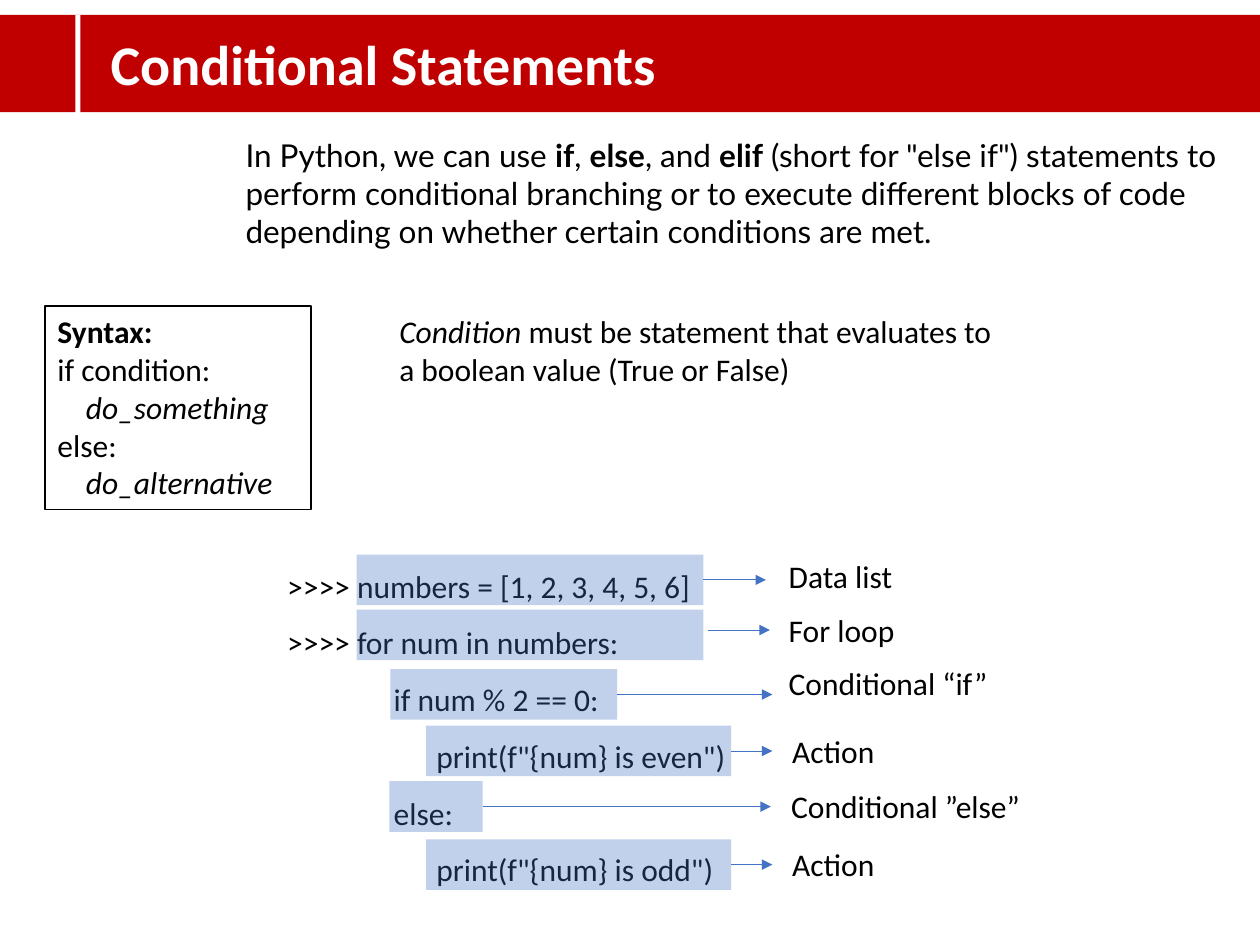
from collections import namedtuple

from lxml.etree import SubElement
from pptx import Presentation
from pptx.dml.color import RGBColor
from pptx.enum.shapes import MSO_CONNECTOR as Connector, MSO_SHAPE as Shape
from pptx.enum.text import MSO_AUTO_SIZE as AutoSize
from pptx.oxml.ns import qn
from pptx.util import Cm, Pt

Theme = namedtuple("Theme", "red blue black white heading_font intro_font title_size text_size")
THEME = Theme("C00000", "4472C4", "000000", "FFFFFF", "Calibri", "Lato", 32, 18)

TITLE = "Conditional Statements"
INTRO = [
    ("In Python, we can use ", ""), ("if", "b"), (", ", ""), ("else", "b"),
    (", and ", ""), ("elif", "b"),
    (' (short for "else if") statements to perform conditional branching or to execute '
     "different blocks of code depending on whether certain conditions are met.", ""),
]
SYNTAX = [
    [("Syntax:", "b")],
    [("if condition:", "")],
    [("    ", ""), ("do_something", "i")],
    [("else:", "")],
    [("    ", ""), ("do_alternative", "i")],
]
CONDITION = [
    ("Condition", "i"),
    (" must be statement that evaluates to a boolean value (True or False)", ""),
]

Step = namedtuple(
    "Step", "code left top width arrow_end label label_left label_top label_width gap rise",
    defaults=(0, 0))
STEPS = [
    Step(">>>> numbers = [1, 2, 3, 4, 5, 6]", 7.19, 11.18, 6.99, 15.44,
         "Data list", 15.65, 11.1, 2.62),
    Step(">>>> for num in numbers:", 7.19, 12.29, 6.99, 15.52,
         "For loop", 15.65, 12.19, 2.67, gap=0.1, rise=0.1),
    Step("               if num % 2 == 0:", 7.87, 13.49, 4.57, 15.57,
         "Conditional “if”", 15.65, 13.26, 4.57),
    Step('                     print(f"{num} is even")', 8.59, 14.63, 6.15, 15.57,
         "Action", 15.72, 14.63, 2.34),
    Step("               else:", 7.85, 15.75, 1.88, 15.54,
         "Conditional ”else”", 15.7, 15.75, 5.18),
    Step('                     print(f"{num} is odd")', 8.59, 16.92, 6.15, 15.57,
         "Action", 15.72, 16.92, 2.34),
]
STEP_HEIGHT = 1.02

deck = Presentation()
deck.slide_width, deck.slide_height = Cm(25.4), Cm(19.05)
slide = deck.slides.add_slide(deck.slide_layouts[6])


def add_text(paragraphs, left, top, width, height, *, font=THEME.heading_font,
             size=THEME.text_size, color=THEME.black, wrap=True, spacing=None, border=None):
    box = slide.shapes.add_textbox(Cm(left), Cm(top), Cm(width), Cm(height))
    if border:
        box.line.color.rgb = RGBColor.from_string(border)
        box.line.width = Pt(0.75)
    frame = box.text_frame
    frame.word_wrap = wrap
    frame.auto_size = AutoSize.SHAPE_TO_FIT_TEXT
    for index, pieces in enumerate(paragraphs):
        paragraph = frame.add_paragraph() if index else frame.paragraphs[0]
        if spacing:
            paragraph.line_spacing = spacing
        for words, style in pieces:
            run = paragraph.add_run()
            run.text = words
            run.font.name = font
            run.font.size = Pt(size)
            run.font.color.rgb = RGBColor.from_string(color)
            run.font.bold = "b" in style
            run.font.italic = "i" in style


def add_block(left, top, width, height, color, opacity=None):
    block = slide.shapes.add_shape(Shape.RECTANGLE, Cm(left), Cm(top), Cm(width), Cm(height))
    block.shadow.inherit = False
    block.fill.solid()
    block.fill.fore_color.rgb = RGBColor.from_string(color)
    block.line.fill.background()
    if opacity:
        tint = next(block.fill._xPr.iter(qn("a:srgbClr")))
        SubElement(tint, qn("a:alpha")).set("val", str(opacity * 1000))


def add_arrow(start, end, level):
    arrow = slide.shapes.add_connector(
        Connector.STRAIGHT, Cm(start), Cm(level), Cm(end), Cm(level))
    arrow.line.color.rgb = RGBColor.from_string(THEME.blue)
    arrow.line.width = Pt(0.5)
    SubElement(arrow.line._get_or_add_ln(), qn("a:tailEnd")).set("type", "triangle")
    SubElement(arrow._element.spPr, qn("a:effectLst"))


add_block(0, 0.3, 25.4, 1.96, THEME.red)
add_text([[(TITLE, "b")]], 1.98, 0.48, 11.61, 1.63,
         size=THEME.title_size, color=THEME.white, wrap=False)
add_block(1.52, 0.3, 0.1, 3.35, THEME.white)
add_text([INTRO], 4.7, 2.62, 20.7, 2.57, font=THEME.intro_font)
add_text(SYNTAX, 0.91, 6.17, 5.36, 4.11, border=THEME.black)
add_text([CONDITION], 7.8, 6.17, 12.7, 1.8)
add_text([[(step.code, "")] for step in STEPS], 5.54, 10.92, 12.7, 7.06, spacing=1.5)

for step in STEPS:
    add_block(step.left, step.top, step.width, STEP_HEIGHT, THEME.blue, opacity=33)
    add_arrow(step.left + step.width + step.gap, step.arrow_end,
              step.top + STEP_HEIGHT / 2 - step.rise)
    add_text([[(step.label, "")]], step.label_left, step.label_top,
             step.label_width, STEP_HEIGHT, wrap=False)

deck.save("out.pptx")
